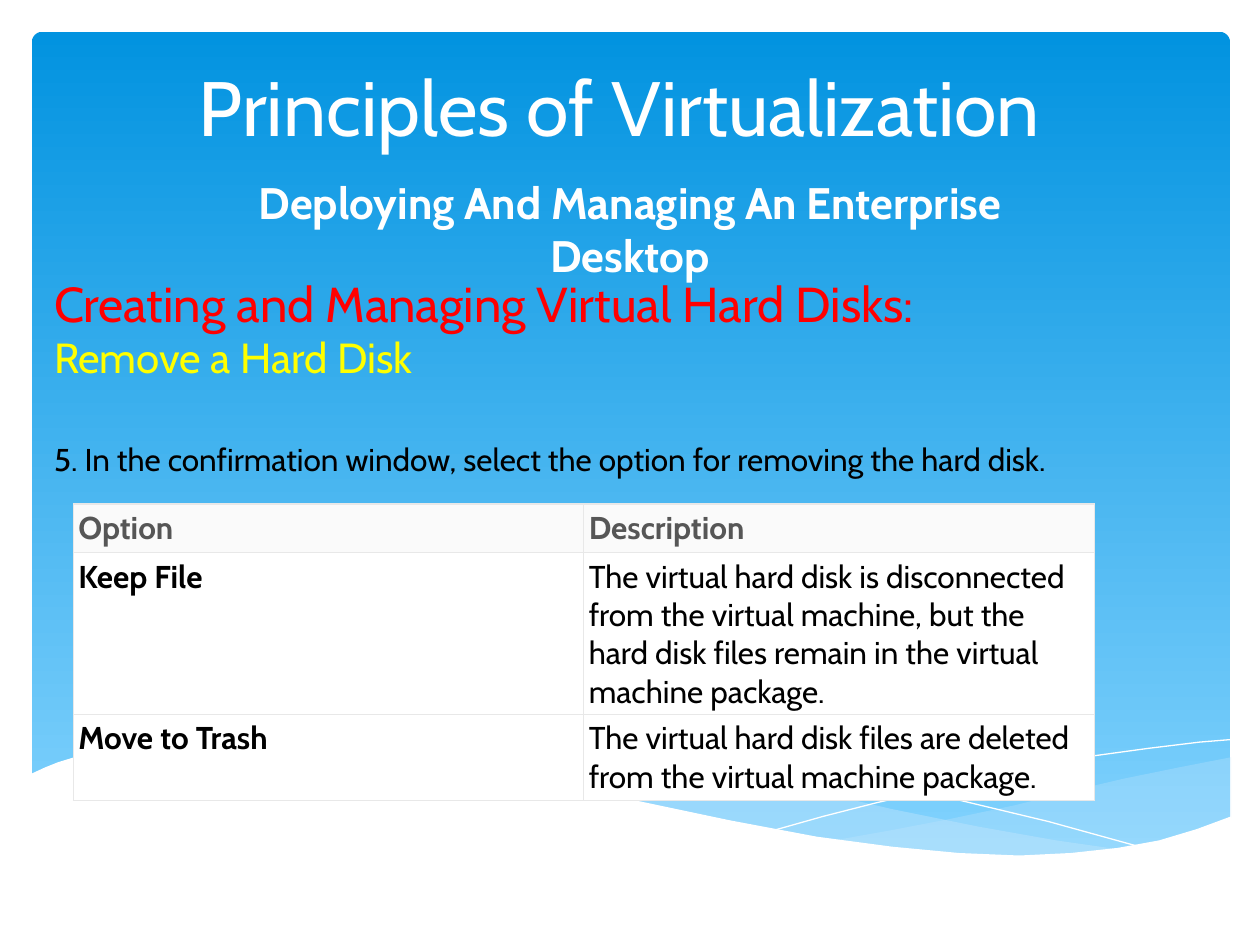
"""Build the slide on removing a virtual hard disk."""
from lxml import etree
from pptx import Presentation
from pptx.dml.color import RGBColor
from pptx.enum.shapes import MSO_SHAPE
from pptx.enum.text import MSO_ANCHOR, PP_ALIGN
from pptx.oxml import parse_xml
from pptx.util import Cm, Pt

ROUNDED = MSO_SHAPE.ROUNDED_RECTANGLE
LEFT, CENTER = PP_ALIGN.LEFT, PP_ALIGN.CENTER
TOP, MIDDLE, BOTTOM = MSO_ANCHOR.TOP, MSO_ANCHOR.MIDDLE, MSO_ANCHOR.BOTTOM
NS = "http://schemas.openxmlformats.org/drawingml/2006/main"
COLORS = {
    "sky": "0293E0", "horizon": "83D3FE", "mist": "C6E7FC", "white": "FFFFFF",
    "red": "FF0000", "yellow": "FFFF00", "black": "000000",
    "heading": "565656", "header": "FAFAFA", "border": "E8E8E8",
}
HUNDREDTH_INCH = 9144


def color(name):
    return RGBColor.from_string(COLORS[name])


def write(frame, text, size=18, ink="black", bold=False, align=LEFT, anchor=TOP):
    frame.word_wrap = True
    frame.vertical_anchor = anchor
    for i, line in enumerate(text.split("\n")):
        paragraph = frame.add_paragraph() if i else frame.paragraphs[0]
        paragraph.alignment = align
        run = paragraph.add_run()
        run.text = line
        run.font.name = "Cabin"
        run.font.size = Pt(size[i] if isinstance(size, list) else size)
        run.font.bold = bold
        run.font.color.rgb = color(ink[i] if isinstance(ink, list) else ink)


prs = Presentation()
prs.slide_width, prs.slide_height = Cm(25.4), Cm(19.05)
slide = prs.slides.add_slide(prs.slide_layouts[6])
shapes = slide.shapes

backdrop = shapes.add_shape(ROUNDED, Cm(0.64), Cm(0.64), Cm(24.16), Cm(16.76))
backdrop.adjustments[0] = 0.013
backdrop.shadow.inherit = False
backdrop.line.fill.background()
backdrop.fill.gradient()
backdrop.fill.gradient_angle = 270
for stop, name, position in zip(backdrop.fill.gradient_stops, ["sky", "horizon"], [0, 1]):
    stop.color.rgb = color(name)
    stop.position = position

right_mist = [
    (977, 601), (936, 609), (892, 618), (862, 625), (806, 639), (754, 650),
    (707, 659), (662, 667), (706, 673), (746, 677), (782, 679), (815, 680),
    (845, 679), (873, 676), (898, 672), (922, 667), (951, 659), (977, 649),
]
wide_mist = [
    (894, 675), (838, 667), (776, 656), (707, 642), (630, 624), (584, 613),
    (542, 604), (502, 598), (465, 593), (420, 589), (380, 587), (345, 588),
    (314, 590), (287, 593), (323, 598), (363, 604), (405, 613), (450, 624),
    (530, 642), (602, 657), (666, 668), (723, 676), (774, 679), (819, 680),
    (859, 679),
]
falling_line = [
    (310, 597), (344, 592), (388, 589), (433, 589), (489, 592), (533, 596),
    (582, 602), (637, 610), (696, 621), (761, 635), (832, 652), (908, 673),
]
rising_line = [
    (614, 659), (653, 648), (696, 637), (749, 625), (807, 612), (867, 600),
    (911, 594), (952, 589), (976, 587),
]
ground = [
    (977, 648), (950, 658), (920, 667), (887, 673), (850, 677), (809, 679),
    (761, 677), (708, 672), (648, 664), (579, 651), (503, 635), (447, 622),
    (391, 609), (340, 599), (292, 592), (250, 588), (211, 586), (177, 586),
    (146, 587), (119, 589), (95, 593), (76, 597), (59, 601), (46, 605),
    (36, 609), (23, 615), (23, 731), (977, 731),
]
for points, fill, opacity in [
    (right_mist, "mist", 29), (wide_mist, "mist", 40),
    (falling_line, None, 100), (rising_line, None, 100), (ground, "white", 100),
]:
    builder = shapes.build_freeform(*points[0], scale=1 / HUNDREDTH_INCH * HUNDREDTH_INCH**2)
    builder.add_line_segments(points[1:], close=fill is not None)
    wave = builder.convert_to_shape()
    wave.shadow.inherit = False
    if fill is None:
        wave.fill.background()
        wave.line.color.rgb = color("white")
        wave.line.width = Pt(0)
        continue
    wave.line.fill.background()
    wave.fill.solid()
    wave.fill.fore_color.rgb = color(fill)
    if opacity < 100:
        tint = wave._element.spPr.find(f".//{{{NS}}}srgbClr")
        etree.SubElement(tint, f"{{{NS}}}alpha", val=str(opacity * 1000))

for box, text, style in [
    ((1.7, 0.84, 21.59, 2.34), "Principles of Virtualization",
     dict(size=44, ink="white", align=CENTER, anchor=BOTTOM)),
    ((3.81, 3.42, 17.78, 2.54), "Deploying And Managing An Enterprise Desktop",
     dict(size=25.2, ink="white", bold=True, align=CENTER)),
    ((0.84, 5.38, 23.93, 2.5), "Creating and Managing Virtual Hard Disks:\nRemove a Hard Disk",
     dict(size=[28, 24], ink=["red", "yellow"])),
    ((0.84, 8.74, 22.43, 1.02),
     "5. In the confirmation window, select the option for removing the hard disk.",
     dict(anchor=MIDDLE)),
]:
    write(shapes.add_textbox(*map(Cm, box)).text_frame, text, **style)

options = [
    ("Option", "Description"),
    ("Keep File", "The virtual hard disk is disconnected from the virtual machine, "
     "but the hard disk files remain in the virtual machine package."),
    ("Move to Trash", "The virtual hard disk files are deleted from the virtual machine package."),
]
table = shapes.add_table(3, 2, Cm(1.48), Cm(10.16), Cm(20.58), Cm(5.97)).table
table.first_row = table.horz_banding = False
for column in table.columns:
    column.width = Cm(10.29)
for row, height in zip(table.rows, [0.98, 3.26, 1.73]):
    row.height = Cm(height)
for r, texts in enumerate(options):
    for c, text in enumerate(texts):
        cell = table.cell(r, c)
        is_header = r == 0
        cell.margin_left = cell.margin_right = cell.margin_top = cell.margin_bottom = Cm(0.1)
        write(cell.text_frame, text, ink="heading" if is_header else "black",
              bold=is_header or c == 0)
        cell.vertical_anchor = BOTTOM if is_header else TOP
        for side in "LRTB":
            cell._tc.get_or_add_tcPr().append(parse_xml(
                f'<a:ln{side} xmlns:a="{NS}" w="{Pt(0.75)}"><a:solidFill>'
                f'<a:srgbClr val="{COLORS["border"]}"/></a:solidFill></a:ln{side}>'))
        cell.fill.solid()
        cell.fill.fore_color.rgb = color("header" if is_header else "white")

prs.save("out.pptx")
